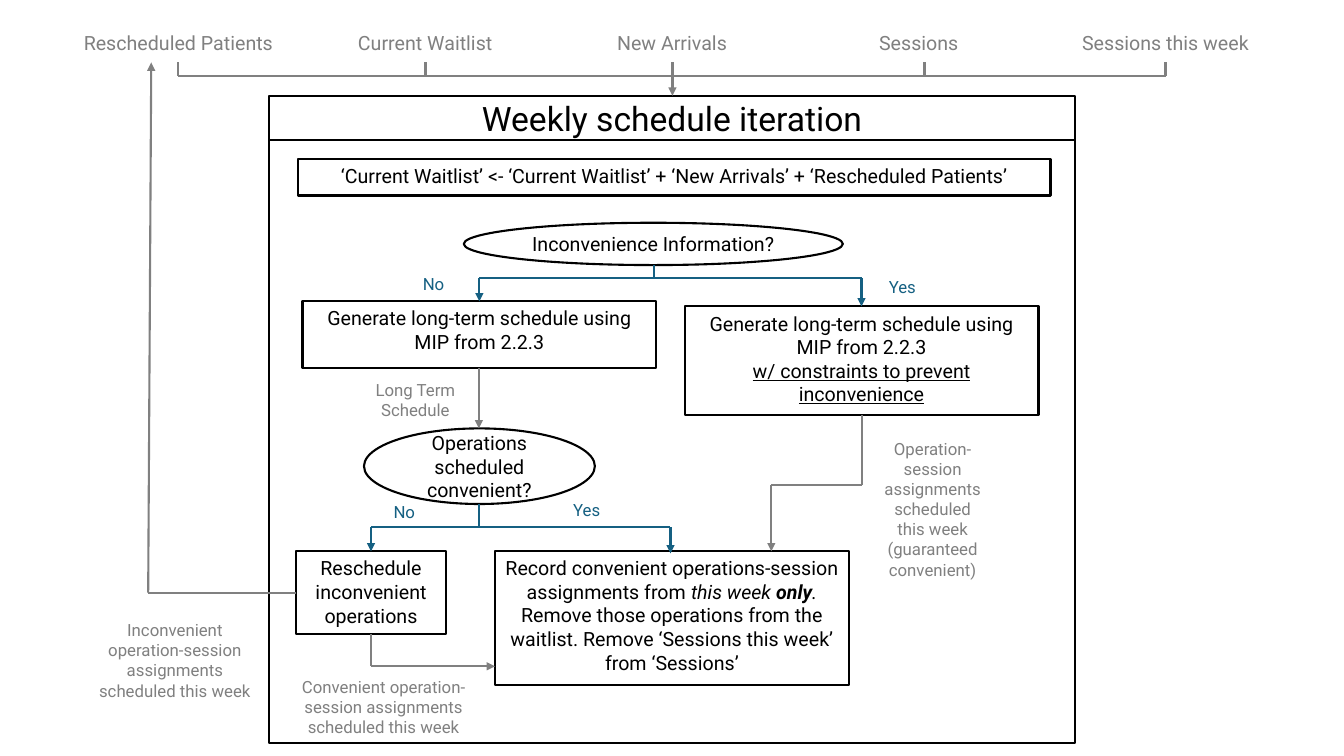
import lxml.etree
import pptx
import pptx.dml.color
import pptx.enum.shapes
import pptx.enum.text
import pptx.oxml.ns
import pptx.util

Inches = pptx.util.Inches
RGBColor = pptx.dml.color.RGBColor
SHAPE = pptx.enum.shapes.MSO_SHAPE
ANCHOR = pptx.enum.text.MSO_ANCHOR

BLACK = RGBColor(0x00, 0x00, 0x00)
WHITE = RGBColor(0xFF, 0xFF, 0xFF)
GRAY = RGBColor(0x80, 0x80, 0x80)
BLUE = RGBColor(0x15, 0x60, 0x82)
FONT = "Roboto"
LINE_WIDTH = pptx.util.Pt(1.5)


def write(tf, paragraphs, size, color):
    """Fill a text frame with centred paragraphs of (text, styles) runs."""
    tf.word_wrap = True
    for i, runs in enumerate(paragraphs):
        p = tf.paragraphs[0] if i == 0 else tf.add_paragraph()
        p.alignment = pptx.enum.text.PP_ALIGN.CENTER
        for text, styles in runs:
            r = p.add_run()
            r.text = text
            r.font.name = FONT
            r.font.size = pptx.util.Pt(size)
            r.font.color.rgb = color
            r.font.bold = "b" in styles
            r.font.italic = "i" in styles
            r.font.underline = "u" in styles


def node(shapes, box, paragraphs=(), kind=SHAPE.RECTANGLE, anchor=ANCHOR.TOP,
         size=14, color=BLACK, line=BLACK):
    """Add a white outlined shape with text."""
    sp = shapes.add_shape(kind, *map(Inches, box))
    sp.shadow.inherit = False
    sp.fill.solid()
    sp.fill.fore_color.rgb = WHITE
    sp.line.color.rgb = line
    sp.line.width = LINE_WIDTH
    sp.text_frame.vertical_anchor = anchor
    write(sp.text_frame, paragraphs, size, color)


def decision(s, box, text):
    """Add an elliptical question."""
    node(s.shapes, box, [[(text, "")]], SHAPE.OVAL, ANCHOR.MIDDLE)


def caption(s, box, text, color=GRAY):
    """Add a small unframed label."""
    sp = s.shapes.add_textbox(*map(Inches, box))
    write(sp.text_frame, [[(text, "")]], 12, color)


def route(s, points, color=GRAY, arrow=True):
    """Join points with straight connectors, with an arrowhead at the end."""
    qn = pptx.oxml.ns.qn
    for start, end in zip(points, points[1:]):
        line = s.shapes.add_connector(
            pptx.enum.shapes.MSO_CONNECTOR.STRAIGHT, *map(Inches, start + end))
        line.line.color.rgb = color
        line.line.width = LINE_WIDTH
        spPr = line.element.spPr
        lxml.etree.SubElement(spPr, qn("a:effectLst"))
    if arrow:
        lxml.etree.SubElement(spPr.find(qn("a:ln")), qn("a:tailEnd"), type="triangle")


def draw_frame(s, box):
    """Draw the titled iteration frame and its opening waitlist update."""
    x, y, w, h = box
    title_h = 0.44
    group = s.shapes.add_group_shape()
    node(group.shapes, (x, y, w, title_h), [[("Weekly schedule iteration", "")]],
         anchor=ANCHOR.MIDDLE, size=24)
    node(group.shapes, (x, y + title_h, w, h - title_h))
    node(s.shapes, (x + 0.29, y + 0.63, 7.46, 0.36),
         [[("‘Current Waitlist’ <- ‘Current Waitlist’ + ‘New Arrivals’ + "
            "‘Rescheduled Patients’", "")]])


def draw_inputs(s, box):
    """Draw the row of inputs and the bus that feeds the frame."""
    x, y, w, h = box
    names = ("Rescheduled Patients", "Current Waitlist", "New Arrivals",
             "Sessions", "Sessions this week")
    label_w, label_h = 2.08, 0.42
    step = (w - label_w) / (len(names) - 1)
    for i, name in enumerate(names):
        node(s.shapes, (x + i * step, y, label_w, label_h), [[(name, "")]],
             anchor=ANCHOR.MIDDLE, color=GRAY, line=WHITE)
    ticks = [x + dx for dx in (1.04, 3.49, 5.94, 8.44, 10.83)]
    bus_y = y + 0.54
    route(s, [(ticks[0], bus_y), (ticks[-1], bus_y)], arrow=False)
    for tick in ticks:
        route(s, [(tick, bus_y), (tick, y + 0.41)], arrow=False)
    route(s, [(ticks[2], y + label_h), (ticks[2], y + h)])


def draw_planning(s, box):
    """Draw the inconvenience question and the two schedule generators."""
    x, y, w, h = box
    node_w = 3.51
    no_x, yes_x = x + node_w / 2, x + w - node_w / 2
    ask_x, bus_y = x + 3.49, y + 0.55
    generate = [("Generate long-term schedule using MIP from 2.2.3", "")]
    constraint = [("w/ constraints to prevent inconvenience", "u")]
    decision(s, (x + 1.6, y, 3.76, 0.42), "Inconvenience Information?")
    node(s.shapes, (x + w - node_w, y + 0.83, node_w, h - 0.83),
         [generate, constraint])
    node(s.shapes, (x, y + 0.78, node_w, 0.66), [generate])
    route(s, [(ask_x, y + 0.42), (ask_x, bus_y)], BLUE, False)
    route(s, [(ask_x, bus_y), (no_x, bus_y), (no_x, y + 0.78)], BLUE)
    route(s, [(ask_x, bus_y), (yes_x, bus_y), (yes_x, y + 0.83)], BLUE)
    caption(s, (x + 5.68, y + 0.49, 0.54, 0.3), "Yes", BLUE)
    caption(s, (x + 1.03, y + 0.46, 0.54, 0.3), "No", BLUE)


def draw_outcomes(s, box):
    """Draw the convenience question, its two outcomes and their inflows."""
    x, y, w, h = box
    ask_x, ask_y = x + 1.81, y + 0.6
    no_x, yes_x = x + 0.74, x + 3.71
    bus_y, node_y = y + 1.58, y + 1.82
    decision(s, (x + 0.67, ask_y, 2.29, 0.75), "Operations scheduled convenient?")
    node(s.shapes, (x + 1.97, node_y, 3.51, h - 1.82), [[
        ("Record convenient operations-session assignments from ", ""),
        ("this week ", "i"), ("only", "bi"), (". ", "i"),
        ("Remove those operations from the waitlist. "
         "Remove ‘Sessions this week’ from ‘Sessions’", "")]])
    node(s.shapes, (x, node_y, 1.48, 0.82),
         [[("Reschedule inconvenient operations", "")]])
    route(s, [(ask_x, y), (ask_x, ask_y)])
    caption(s, (x + 0.57, y + 0.07, 1.22, 0.5), "Long Term Schedule")
    route(s, [(ask_x, y + 1.35), (ask_x, bus_y)], BLUE, False)
    for end_x, end_y in ((no_x, node_y), (yes_x, node_y + 0.02)):
        route(s, [(ask_x, bus_y), (end_x, bus_y), (end_x, end_y)], BLUE)
    caption(s, (x + 2.61, y + 1.26, 0.54, 0.3), "Yes", BLUE)
    caption(s, (x + 0.8, y + 1.28, 0.54, 0.3), "No", BLUE)
    route(s, [(no_x, y + 2.64), (no_x, y + 2.96), (x + 1.97, y + 2.96)])
    caption(s, (x - 0.09, y + 3.01, 1.91, 0.71),
            "Convenient operation-session assignments scheduled this week")
    caption(s, (x + w - 1.22, y + 0.65, 1.22, 1.51),
            "Operation-session assignments scheduled this week "
            "(guaranteed convenient)")
    route(s, [(x + 5.61, y + 0.47), (x + 5.61, y + 1.16),
              (x + 4.71, y + 1.16), (x + 4.71, node_y)])


def draw_feedback(s, box):
    """Draw the return path to the rescheduled patients."""
    x, y, w, h = box
    turn_x, turn_y = x + 0.64, y + 5.26
    route(s, [(x + w, turn_y), (turn_x, turn_y), (turn_x + 0.03, y)])
    caption(s, (x, y + h - 0.91, 1.81, 0.91),
            "Inconvenient operation-session assignments scheduled this week")


def main():
    """Build and save the slide."""
    prs = pptx.Presentation()
    prs.slide_width, prs.slide_height = Inches(13.33), Inches(7.5)
    s = prs.slides.add_slide(prs.slide_layouts[6])
    draw_frame(s, (2.67, 0.95, 7.99, 6.42))
    draw_inputs(s, (0.73, 0.21, 11.87, 0.74))
    draw_planning(s, (3, 2.21, 7.3, 1.91))
    draw_outcomes(s, (2.94, 3.65, 6.92, 3.15))
    draw_feedback(s, (0.83, 0.62, 2.11, 6.39))
    prs.save("out.pptx")


if __name__ == "__main__":
    main()
